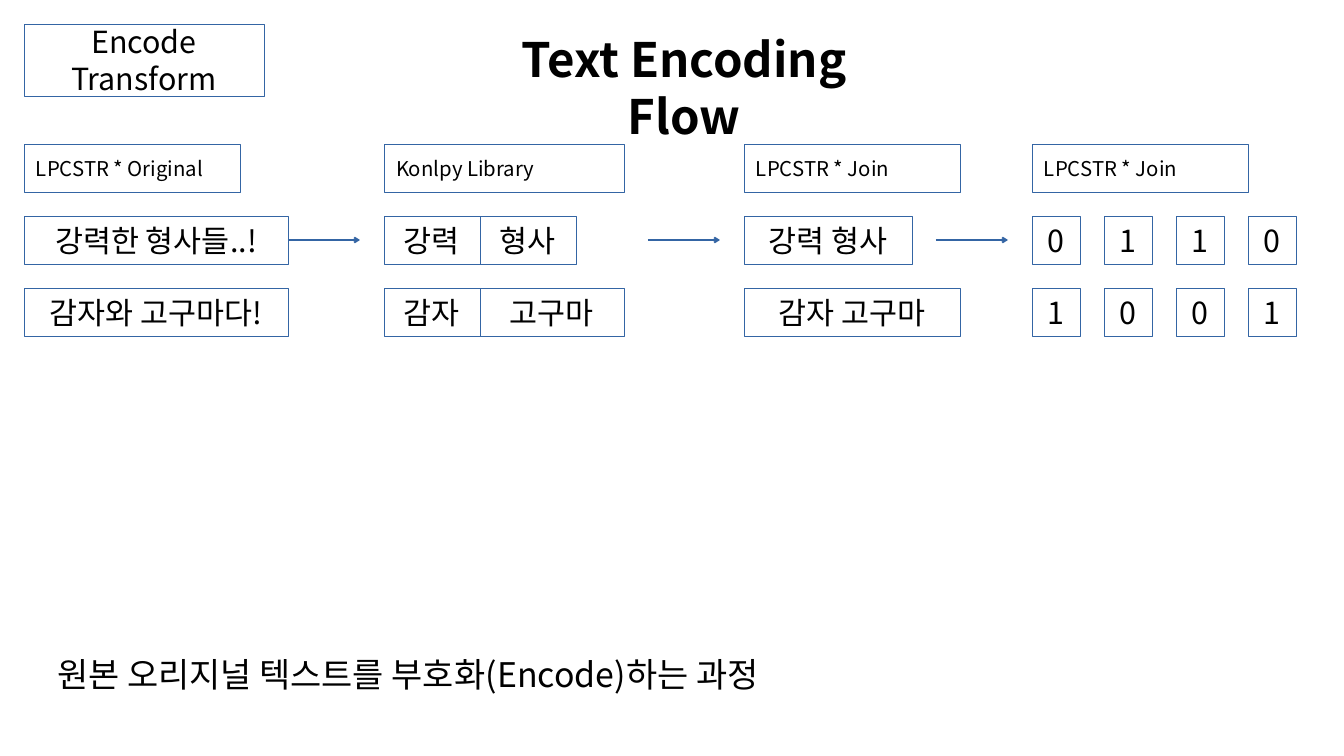
import lxml.etree
import pptx
import pptx.dml.color
import pptx.enum.shapes
import pptx.enum.text
import pptx.oxml.ns
import pptx.util

ALIGN = pptx.enum.text.PP_ALIGN
ANCHOR = pptx.enum.text.MSO_ANCHOR
FIT = pptx.enum.text.MSO_AUTO_SIZE
QN = pptx.oxml.ns.qn


def px(length):
    return round(length * 914400 / 67.2)


def color(code):
    return pptx.dml.color.RGBColor.from_string(code)


def assign(target, values):
    for name, value in values.items():
        setattr(target, name, value)


class Page:
    font = "Noto Sans CJK KR"
    ink = "000000"
    paper = "FFFFFF"
    edge = "3465A4"
    label_size = 21.8
    body_size = 32.6
    margins = {
        "margin_left": px(12), "margin_right": px(12),
        "margin_top": px(6), "margin_bottom": px(6), "word_wrap": True,
    }

    def __init__(self, deck):
        self.slide = deck.slides.add_slide(deck.slide_layouts[5])

    def fill_text(self, box, text, size, align, anchor, fit, bold=False):
        frame = box.text_frame
        assign(frame, {**self.margins, "vertical_anchor": anchor, "auto_size": fit})
        para = frame.paragraphs[0]
        para.alignment = align
        span = para.add_run()
        span.text = text
        assign(span.font, {"name": self.font, "size": pptx.util.Pt(size), "bold": bold})
        span.font.color.rgb = color(self.ink)
        lxml.etree.SubElement(span.font._element, QN("a:ea"), typeface=self.font)

    def outline(self, line):
        line.color.rgb = color(self.edge)
        line.width = 0

    def title(self, text, size, left, top, width, height):
        box = self.slide.shapes.title
        assign(box, {"left": px(left), "top": px(top), "width": px(width), "height": px(height)})
        self.fill_text(box, text, size, ALIGN.CENTER, ANCHOR.TOP, FIT.SHAPE_TO_FIT_TEXT, True)

    def caption(self, text, size, left, top, width, height):
        box = self.slide.shapes.add_textbox(px(left), px(top), px(width), px(height))
        self.fill_text(box, text, size, ALIGN.CENTER, ANCHOR.TOP, FIT.SHAPE_TO_FIT_TEXT)

    def box(self, text, left, top, width, height=48, size=body_size, align=ALIGN.CENTER):
        box = self.slide.shapes.add_shape(
            pptx.enum.shapes.MSO_SHAPE.RECTANGLE, px(left), px(top), px(width), px(height))
        box.shadow.inherit = False
        box.fill.solid()
        box.fill.fore_color.rgb = color(self.paper)
        self.outline(box.line)
        self.fill_text(box, text, size, align, ANCHOR.MIDDLE, FIT.NONE)
        return box

    def label(self, text, left, top, width):
        return self.box(text, left, top, width, size=self.label_size, align=ALIGN.LEFT)

    def arrow(self, left, top, width, source=None):
        arrow = self.slide.shapes.add_connector(
            pptx.enum.shapes.MSO_CONNECTOR.STRAIGHT,
            px(left), px(top), px(left + width), px(top))
        if source is not None:
            arrow.begin_connect(source, 3)
        self.outline(arrow.line)
        lxml.etree.SubElement(arrow.line._get_or_add_ln(), QN("a:tailEnd"), type="arrow")
        lxml.etree.SubElement(arrow._element.spPr, QN("a:effectLst"))


def main():
    deck = pptx.Presentation()
    assign(deck, {"slide_width": px(1344), "slide_height": px(756)})
    page = Page(deck)

    page.title("Text Encoding Flow", 50.8, 456, 24, 456, 84)
    page.box("Encode Transform", 24, 24, 240, 72)

    stages = [
        ("LPCSTR * Original", 24, 216, 0,
         [[("강력한 형사들..!", 264)], [("감자와 고구마다!", 264)]]),
        ("Konlpy Library", 384, 240, 0,
         [[("강력", 96), ("형사", 96)], [("감자", 96), ("고구마", 144)]]),
        ("LPCSTR * Join", 744, 216, 0,
         [[("강력 형사", 168)], [("감자 고구마", 216)]]),
        ("LPCSTR * Join", 1032, 216, 24,
         [[(bit, 48) for bit in bits] for bits in ("0110", "1001")]),
    ]
    boxes = []
    for heading, left, width, gap, rows in stages:
        page.label(heading, left, 144, width)
        for index, row in enumerate(rows):
            cell_left = left
            for text, cell_width in row:
                boxes.append(page.box(text, cell_left, 216 + 72 * index, cell_width))
                cell_left += cell_width + gap

    for left, source in ((288, boxes[0]), (648, None), (936, None)):
        page.arrow(left, 240, 72, source)

    page.caption("원본 오리지널 텍스트를 부호화(Encode)하는 과정", 36.3, 24, 648, 768, 63)
    deck.save("out.pptx")


if __name__ == "__main__":
    main()
